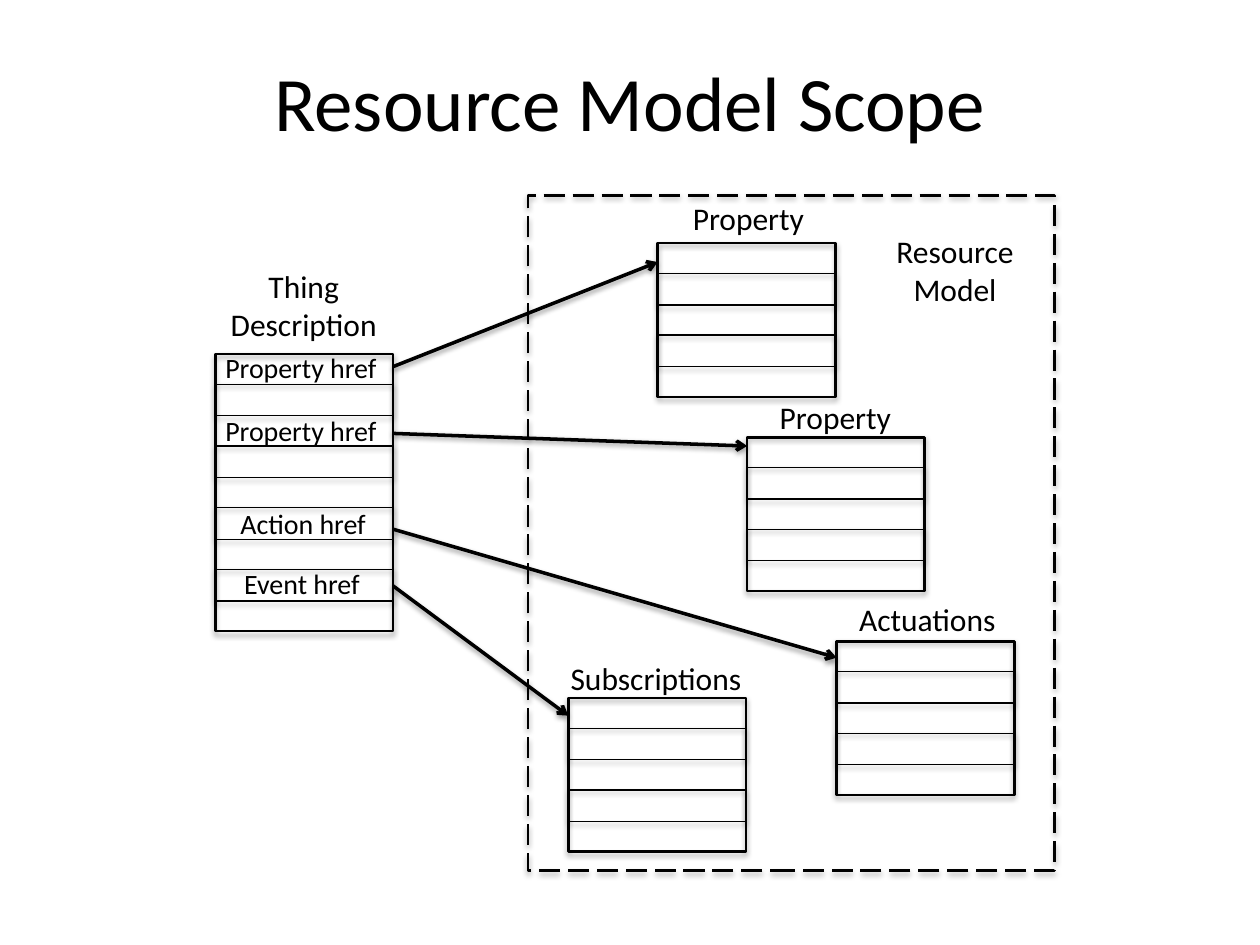
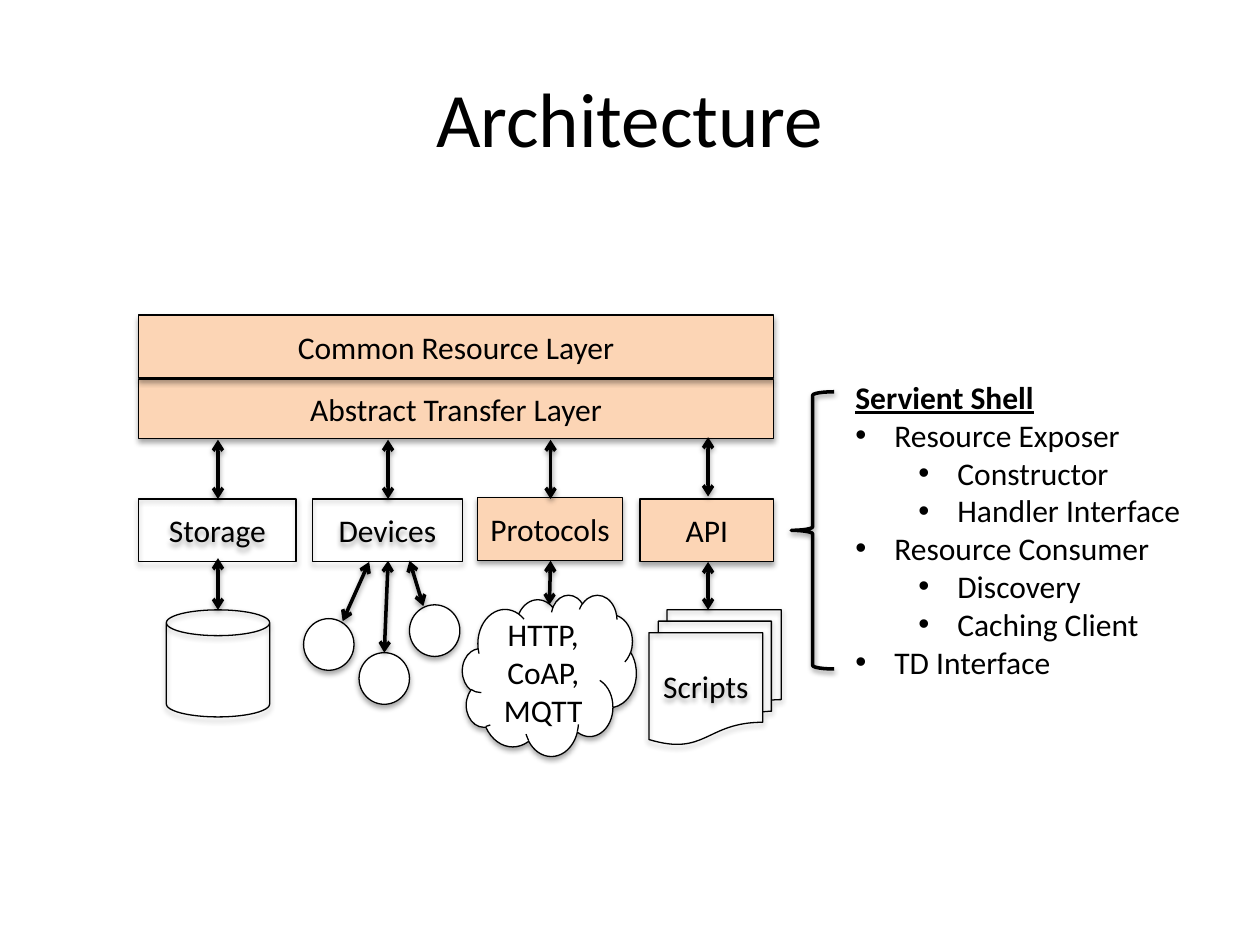
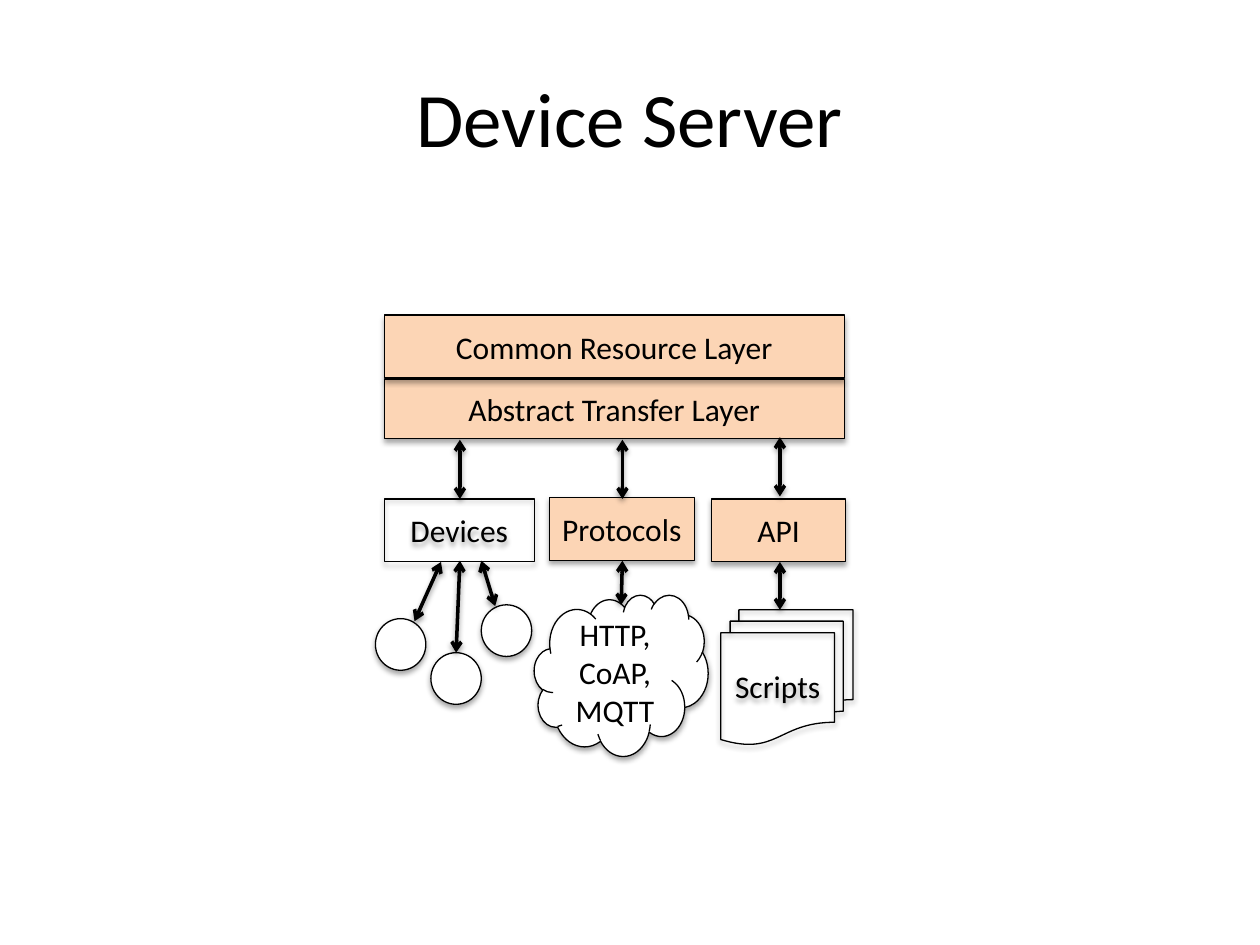
from lxml.etree import SubElement
from pptx import Presentation
from pptx.dml.color import RGBColor
from pptx.enum.dml import MSO_LINE
from pptx.enum.shapes import MSO_CONNECTOR, MSO_SHAPE as SHAPE
from pptx.enum.text import MSO_ANCHOR as ANCHOR, MSO_AUTO_SIZE as AUTO_SIZE, PP_ALIGN as ALIGN
from pptx.oxml.ns import qn
from pptx.util import Inches, Pt

COLORS = {"ink": "000000", "paper": "FFFFFF", "layer": "FCD5B5"}
FONT = "Calibri"
SHAPE_SHADOW = {"alpha": 35, "blur": 3.1, "distance": 1.8}
LINE_SHADOW = {"alpha": 38, "blur": 3.1, "distance": 1.6}
THIN, MEDIUM, THICK = 0.75, 1.5, 2
RECORD_WIDTH, ROW_HEIGHT, ROW_STEP = 1.41, 0.25, 0.49
SERVER_SHIFT = 0.57


def color(name):
    """Return the named colour."""
    return RGBColor.from_string(COLORS[name])


def add_shadow(shape, alpha, blur, distance):
    """Give a shape or connector a soft shadow below it."""
    effects = SubElement(shape._element.spPr, qn("a:effectLst"))
    shadow = SubElement(effects, qn("a:outerShdw"), blurRad=str(Pt(blur)),
                        dist=str(Pt(distance)), dir="5400000", rotWithShape="0")
    ink = SubElement(shadow, qn("a:srgbClr"), val=COLORS["ink"])
    SubElement(ink, qn("a:alpha"), val=str(alpha * 1000))


def write(paragraph, text, align=ALIGN.LEFT, **formats):
    """Put formatted text in a paragraph."""
    paragraph.alignment = align
    run = paragraph.add_run()
    run.text = text
    run.font.color.rgb = color("ink")
    for name, value in {"name": FONT, "size": Pt(18), **formats}.items():
        setattr(run.font, name, value)


def add_shape(shapes, kind, box, text="", fill=None, width=THIN, shadow=SHAPE_SHADOW):
    """Add an outlined preset shape, optionally filled and labelled."""
    shape = shapes.add_shape(kind, *map(Inches, box))
    if fill:
        shape.fill.solid()
        shape.fill.fore_color.rgb = color(fill)
    else:
        shape.fill.background()
    shape.line.color.rgb = color("ink")
    shape.line.width = Pt(width)
    add_shadow(shape, **shadow)
    if text:
        shape.text_frame.word_wrap = True
        shape.text_frame.vertical_anchor = ANCHOR.MIDDLE
        write(shape.text_frame.paragraphs[0], text, ALIGN.CENTER)
    return shape


def add_arrow(shapes, start, end, both_ends=True):
    """Add a thick arrow, pointing one way or both ways."""
    arrow = shapes.add_connector(MSO_CONNECTOR.STRAIGHT, *map(Inches, (*start, *end)))
    arrow.line.color.rgb = color("ink")
    arrow.line.width = Pt(THICK)
    outline = arrow.line._get_or_add_ln()
    for tag in ("a:headEnd", "a:tailEnd") if both_ends else ("a:tailEnd",):
        SubElement(outline, qn(tag), type="arrow")
    add_shadow(arrow, **LINE_SHADOW)


def add_text_frame(shapes, box, wrap):
    """Add a text box that fits its text and return its frame."""
    frame = shapes.add_textbox(*map(Inches, box)).text_frame
    frame.word_wrap = wrap
    frame.auto_size = AUTO_SIZE.SHAPE_TO_FIT_TEXT
    return frame


def add_label(shapes, box, text, size=18, wrap=False):
    """Add a label; a wrapped one is centred."""
    frame = add_text_frame(shapes, box, wrap)
    write(frame.paragraphs[0], text, ALIGN.CENTER if wrap else ALIGN.LEFT, size=Pt(size))


def add_slide(presentation, title, top=0.3):
    """Add a blank slide with a title and return its shapes."""
    shapes = presentation.slides.add_slide(presentation.slide_layouts[6]).shapes
    frame = add_text_frame(shapes, (0.5, top, 9, 1.25), True)
    frame.auto_size = AUTO_SIZE.NONE
    frame.vertical_anchor = ANCHOR.MIDDLE
    write(frame.paragraphs[0], title, ALIGN.CENTER, size=Pt(44))
    return shapes


def add_record(shapes, left, top, height, bands):
    """Add a grouped record: a frame crossed by evenly spaced bands."""
    group = shapes.add_group_shape().shapes
    add_shape(group, SHAPE.RECTANGLE, (left, top, RECORD_WIDTH, height), width=MEDIUM)
    for band in range(bands):
        row_top = top + 0.24 + band * ROW_STEP
        add_shape(group, SHAPE.RECTANGLE, (left, row_top, RECORD_WIDTH, ROW_HEIGHT))


def add_outline(shapes, box, heading, items):
    """Add an underlined heading above a two-level bullet list."""
    frame = add_text_frame(shapes, box, False)
    write(frame.paragraphs[0], heading, bold=True, underline=True)
    for level, text in items:
        paragraph = frame.add_paragraph()
        paragraph.level = level
        write(paragraph, text)
        properties = paragraph._p.get_or_add_pPr()
        properties.set("marL", str(Inches(0.31 + 0.5 * level)))
        properties.set("indent", str(Inches(-0.31)))
        SubElement(properties, qn("a:buFont"), typeface="Arial")
        SubElement(properties, qn("a:buChar"), char="•")


def add_layers(shapes, left, width):
    """Add the two stacked layers."""
    for top, height, text in ((3.01, 0.47, "Abstract Transfer Layer"),
                              (2.5, 0.5, "Common Resource Layer")):
        add_shape(shapes, SHAPE.RECTANGLE, (left, top, width, height), text, "layer")


def add_storage(shapes):
    """Add the storage block with its database."""
    add_shape(shapes, SHAPE.CAN, (1.32, 4.84, 0.82, 0.85))
    add_shape(shapes, SHAPE.RECTANGLE, (1.1, 3.96, 1.25, 0.5), "Storage")
    for top, bottom in ((3.49, 3.96), (4.43, 4.84)):
        add_arrow(shapes, (1.73, top), (1.73, bottom))


def add_bindings(shapes, shift=0):
    """Add devices, protocols and API with what they connect to."""
    for left, top in ((2.41, 4.91), (2.85, 5.18), (3.25, 4.8)):
        add_shape(shapes, SHAPE.OVAL, (left + shift, top, 0.4, 0.41), fill="paper")
    for kind, left, top, width, height, text, fill in (
            (SHAPE.RECTANGLE, 3.79, 3.95, 1.15, 0.5, "Protocols", "layer"),
            (SHAPE.CLOUD, 3.67, 4.72, 1.38, 1.28, "HTTP, CoAP, MQTT", "paper"),
            (SHAPE.RECTANGLE, 2.48, 3.96, 1.19, 0.5, "Devices", None),
            (SHAPE.RECTANGLE, 5.08, 3.96, 1.06, 0.5, "API", "layer"),
            (SHAPE.FLOWCHART_MULTIDOCUMENT, 5.15, 4.84, 1.05, 1.07, "Scripts", None)):
        add_shape(shapes, kind, (left + shift, top, width, height), text, fill)
    for x1, y1, x2, y2 in (
            (2.93, 4.46, 2.72, 4.93), (3.08, 4.45, 3.05, 5.18), (3.25, 4.45, 3.36, 4.81),
            (4.37, 4.45, 4.36, 4.8), (5.62, 4.46, 5.62, 4.84),
            (3.08, 3.49, 3.08, 3.96), (4.37, 3.49, 4.37, 3.96), (5.62, 3.47, 5.62, 3.94)):
        add_arrow(shapes, (x1 + shift, y1), (x2 + shift, y2))


def build_scope(presentation):
    """Build the slide on the scope of the resource model."""
    shapes = add_slide(presentation, "Resource Model Scope", 0.17)
    add_record(shapes, 1.71, 2.81, 2.2, 4)
    for left, top in ((5.22, 1.93), (6.64, 5.09), (4.51, 5.54), (5.93, 3.47)):
        add_record(shapes, left, top, 1.22, 2)
    for start_y, end in ((2.91, (5.22, 2.08)), (3.44, (5.93, 3.54)),
                         (4.2, (6.64, 5.22)), (4.65, (4.51, 5.68))):
        add_arrow(shapes, (3.12, start_y), end, both_ends=False)
    add_label(shapes, (1.72, 2.07, 1.38, 0.71), "Thing Description", wrap=True)
    for left, top, width, text in ((1.69, 2.73, 1.43, "Property href"),
                                   (1.69, 3.23, 1.43, "Property href"),
                                   (1.81, 3.97, 1.21, "Action href"),
                                   (1.84, 4.45, 1.14, "Event href")):
        add_label(shapes, (left, top, width, 0.37), text, size=16)
    for left, top, width, text in ((5.4, 1.53, 1.1, "Property"),
                                   (6.09, 3.11, 1.1, "Property"),
                                   (6.72, 4.71, 1.3, "Actuations"),
                                   (4.43, 5.18, 1.58, "Subscriptions")):
        add_label(shapes, (left, top, width, 0.4), text)
    scope = add_shape(shapes, SHAPE.RECTANGLE, (4.19, 1.55, 4.18, 5.36), width=MEDIUM)
    scope.line.dash_style = MSO_LINE.LONG_DASH
    add_label(shapes, (6.96, 1.79, 1.24, 0.71), "Resource Model", wrap=True)


def build_architecture(presentation):
    """Build the architecture slide."""
    shapes = add_slide(presentation, "Architecture")
    add_layers(shapes, 1.1, 5.04)
    add_storage(shapes)
    add_bindings(shapes)
    add_outline(shapes, (6.69, 2.95, 2.81, 2.52), "Servient Shell", (
        (0, "Resource Exposer"), (1, "Constructor"), (1, "Handler Interface"),
        (0, "Resource Consumer"), (1, "Discovery"), (1, "Caching Client"),
        (0, "TD Interface")))
    add_shape(shapes, SHAPE.LEFT_BRACE, (6.28, 3.11, 0.34, 2.2),
              width=THICK, shadow=LINE_SHADOW)


def build_device_server(presentation):
    """Build the device server slide."""
    shapes = add_slide(presentation, "Device Server")
    add_layers(shapes, 3.05, 3.65)
    add_bindings(shapes, SERVER_SHIFT)


def main():
    """Build and save the presentation."""
    presentation = Presentation()
    presentation.slide_width, presentation.slide_height = Inches(10), Inches(7.5)
    build_scope(presentation)
    build_architecture(presentation)
    build_device_server(presentation)
    presentation.save("out.pptx")


main()
